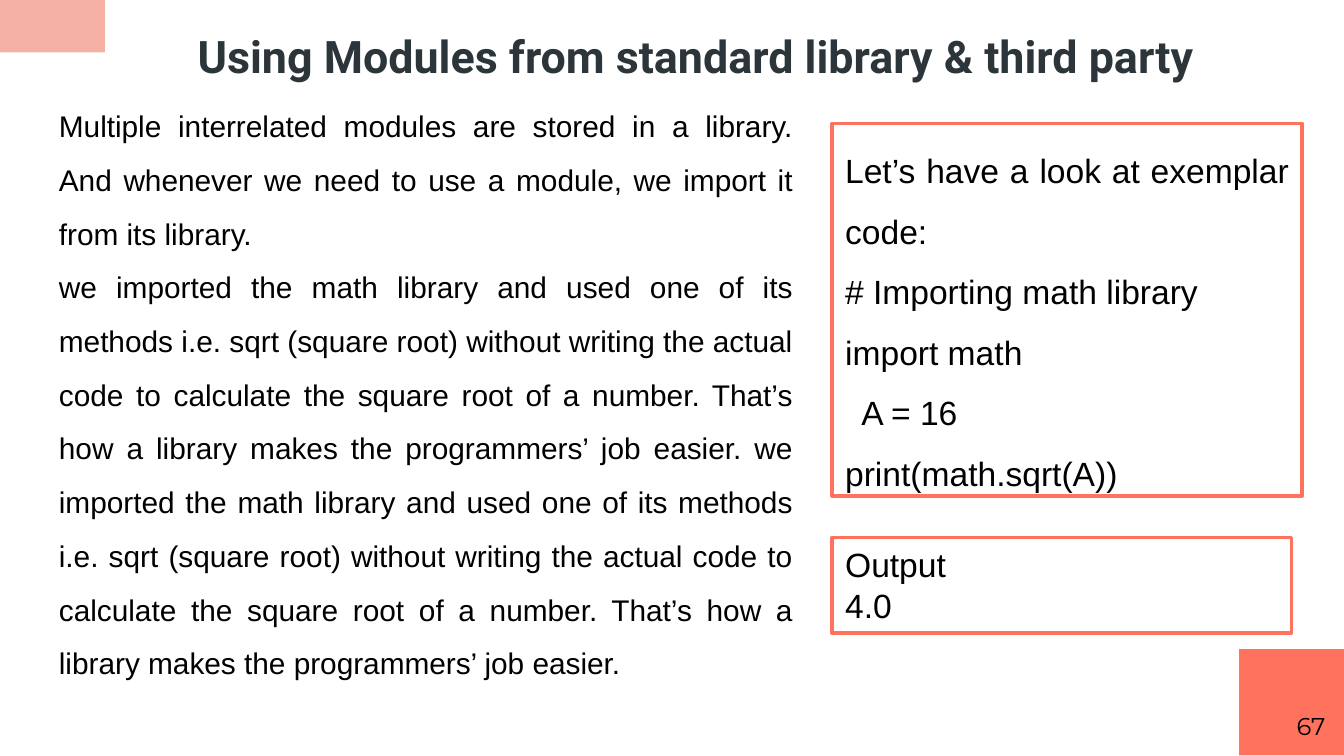
from pptx import Presentation
from pptx.dml.color import RGBColor
from pptx.enum.shapes import MSO_SHAPE
from pptx.enum.text import MSO_ANCHOR, PP_ALIGN
from pptx.util import Inches, Pt

CORAL, PINK, WHITE, BLACK, SLATE = "FF725E", "F6B1A7", "FFFFFF", "000000", "2C363A"
JUSTIFIED = {"alignment": PP_ALIGN.JUSTIFY, "line_spacing": 1.5}

TITLE = "Using Modules from standard library & third party"
USAGE = ("we imported the math library and used one of its methods i.e. sqrt (square root) "
         "without writing the actual code to calculate the square root of a number. "
         "That’s how a library makes the programmers’ job easier.")
BODY = [
    "Multiple interrelated modules are stored in a library. And whenever we need to use "
    "a module, we import it from its library.",
    f"{USAGE} {USAGE}",
]
CODE = [
    "Let’s have a look at exemplar code:",
    "# Importing math library",
    "import math",
    "A = 16",
    "print(math.sqrt(A))",
]


def color(value):
    """Turn a hex string into a colour."""
    return RGBColor.from_string(value)


def set_attrs(obj, values):
    """Set each attribute of an object from a dict."""
    for name, value in values.items():
        setattr(obj, name, value)


def fill_text(sp, lines, font, para, ink=BLACK, inset=None, anchor=MSO_ANCHOR.TOP):
    """Write formatted paragraphs into a shape."""
    tf = sp.text_frame
    set_attrs(tf, {"word_wrap": True, "vertical_anchor": anchor})
    if inset is not None:
        sides = ("left", "top", "right", "bottom")
        set_attrs(tf, {f"margin_{side}": Inches(inset) for side in sides})
    for i, line in enumerate(lines):
        p = tf.paragraphs[0] if i == 0 else tf.add_paragraph()
        set_attrs(p, para)
        r = p.add_run()
        r.text = line
        set_attrs(r.font, font)
        r.font.color.rgb = color(ink)
    return tf


def add_rect(s, box, fill, line=None):
    """Add a flat rectangle with an optional outline."""
    sp = s.shapes.add_shape(MSO_SHAPE.RECTANGLE, *map(Inches, box))
    sp.shadow.inherit = False
    sp.fill.solid()
    sp.fill.fore_color.rgb = color(fill)
    if line:
        sp.line.color.rgb = color(line)
        sp.line.width = Pt(2)
    else:
        sp.line.fill.background()
    return sp


def add_text(s, box, lines, font, para, **frame):
    """Add a text box."""
    sp = s.shapes.add_textbox(*map(Inches, box))
    return fill_text(sp, lines, font, para, **frame)


def add_title(s, box):
    """Add the slide heading."""
    font = {"name": "Roboto", "size": Pt(24), "bold": True}
    add_text(s, box, [TITLE], font, {"alignment": PP_ALIGN.CENTER},
             ink=SLATE, inset=0.1, anchor=MSO_ANCHOR.MIDDLE)


def add_page_corner(s, box):
    """Add the coral corner with the page number."""
    x, y, w, h = box
    add_rect(s, box, CORAL)
    add_text(s, (x + 0.14, y + 0.36, 0.6, 0.43), ["67"],
             {"name": "Montserrat", "size": Pt(13)},
             {"alignment": PP_ALIGN.RIGHT}, inset=0.1)


def add_body(s, box):
    """Add the explanation."""
    add_text(s, box, BODY, {"name": "Arial", "size": Pt(16)}, JUSTIFIED)


def add_panel(s, box, lines, para):
    """Add an outlined panel of text."""
    sp = add_rect(s, box, WHITE, CORAL)
    return fill_text(sp, lines, {"name": "Arial", "size": Pt(18)}, para)


def add_example(s, box):
    """Add the code panel with the output panel below it."""
    x, y, w, h = box
    add_panel(s, (x, y + h - 0.71, w - 0.08, 0.71), ["Output", "4.0"],
              {"alignment": PP_ALIGN.LEFT})
    tf = add_panel(s, (x, y, w, 2.77), CODE, JUSTIFIED)
    pPr = tf.paragraphs[CODE.index("A = 16")]._p.get_or_add_pPr()
    pPr.set("marL", str(Inches(0.12)))


def main():
    """Build the slide."""
    prs = Presentation()
    width = Inches(10)
    set_attrs(prs, {"slide_width": width, "slide_height": width * 9 // 16})
    s = prs.slides.add_slide(prs.slide_layouts[6])
    add_rect(s, (0, 0, 0.78, 0.39), PINK)
    add_page_corner(s, (9.22, 4.83, 0.78, 0.79))
    add_title(s, (0.79, -0.1, 8.77, 1.02))
    add_body(s, (0.34, 0.62, 5.66, 4.95))
    add_example(s, (6.19, 0.92, 3.5, 3.79))
    prs.save("out.pptx")


if __name__ == "__main__":
    main()
